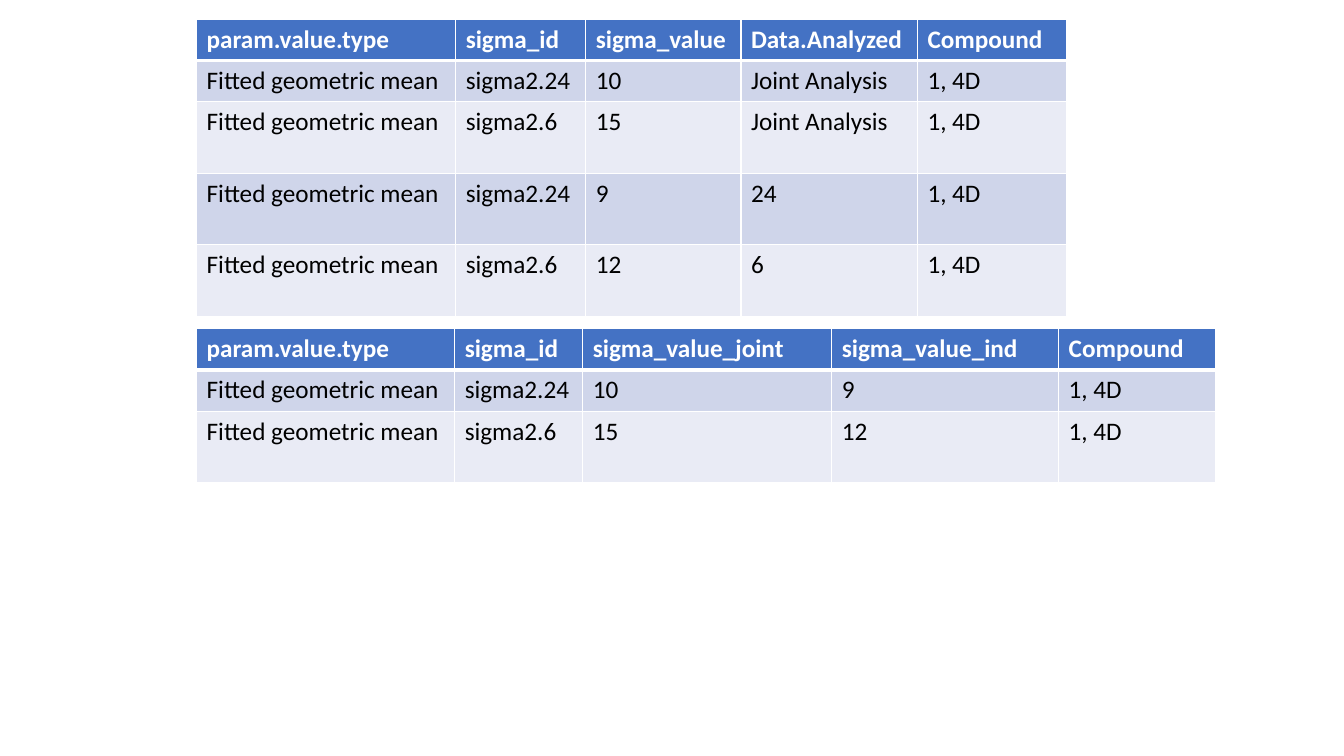
from dataclasses import dataclass

from lxml.etree import SubElement
from pptx import Presentation
from pptx.dml.color import RGBColor
from pptx.oxml.ns import qn
from pptx.slide import Slide
from pptx.table import _Cell as Cell
from pptx.util import Inches, Pt

WHITE = RGBColor(0xFF, 0xFF, 0xFF)
BLACK = RGBColor(0x00, 0x00, 0x00)
HEADER_BLUE = RGBColor(0x44, 0x72, 0xC4)
BAND_DARK = RGBColor(0xCF, 0xD5, 0xEA)
BAND_LIGHT = RGBColor(0xE9, 0xEB, 0xF5)

TABLE_LEFT = 1.95
SINGLE_ROW = 0.41
TALL_ROW = 0.71
MEAN = "Fitted geometric mean"
COMPOUND = "1, 4D"


@dataclass(frozen=True)
class SigmaTable:
    top: float
    widths: list[float]
    heights: list[float]
    rows: list[list[str]]


LONG_FORM = SigmaTable(
    top=0.19,
    widths=[2.57, 1.29, 1.54, 1.75, 1.48],
    heights=[SINGLE_ROW] * 2 + [TALL_ROW] * 3,
    rows=[
        ["param.value.type", "sigma_id", "sigma_value", "Data.Analyzed", "Compound"],
        [MEAN, "sigma2.24", "10", "Joint Analysis", COMPOUND],
        [MEAN, "sigma2.6", "15", "Joint Analysis", COMPOUND],
        [MEAN, "sigma2.24", "9", "24", COMPOUND],
        [MEAN, "sigma2.6", "12", "6", COMPOUND],
    ],
)
WIDE_FORM = SigmaTable(
    top=3.26,
    widths=[2.56, 1.27, 2.47, 2.25, 1.56],
    heights=[SINGLE_ROW] * 2 + [TALL_ROW],
    rows=[
        ["param.value.type", "sigma_id", "sigma_value_joint", "sigma_value_ind", "Compound"],
        [MEAN, "sigma2.24", "10", "9", COMPOUND],
        [MEAN, "sigma2.6", "15", "12", COMPOUND],
    ],
)


def set_borders(cell: Cell, row: int) -> None:
    properties = cell._tc.get_or_add_tcPr()
    weights = {
        "a:lnL": 1,
        "a:lnR": 1,
        "a:lnT": 3 if row == 1 else 1,
        "a:lnB": 3 if row == 0 else 1,
    }
    for side, weight in weights.items():
        border = SubElement(properties, qn(side), w=str(Pt(weight)))
        fill = SubElement(border, qn("a:solidFill"))
        SubElement(fill, qn("a:srgbClr"), val=str(WHITE))


def style_cell(cell: Cell, text: str, row: int) -> None:
    is_header = row == 0
    set_borders(cell, row)
    cell.fill.solid()
    band = BAND_DARK if row % 2 else BAND_LIGHT
    cell.fill.fore_color.rgb = HEADER_BLUE if is_header else band
    cell.text_frame.text = text
    font = cell.text_frame.paragraphs[0].runs[0].font
    font.name = "Calibri"
    font.size = Pt(18)
    font.bold = is_header
    font.color.rgb = WHITE if is_header else BLACK


def draw_table(slide: Slide, sigma: SigmaTable) -> None:
    table = slide.shapes.add_table(
        len(sigma.rows),
        len(sigma.widths),
        Inches(TABLE_LEFT),
        Inches(sigma.top),
        Inches(sum(sigma.widths)),
        Inches(sum(sigma.heights)),
    ).table
    for column, width in zip(table.columns, sigma.widths):
        column.width = Inches(width)
    for row, (height, texts) in enumerate(zip(sigma.heights, sigma.rows)):
        table.rows[row].height = Inches(height)
        for column, text in enumerate(texts):
            style_cell(table.cell(row, column), text, row)


def main() -> None:
    presentation = Presentation()
    presentation.slide_width = Inches(13.33)
    presentation.slide_height = Inches(7.5)
    slide = presentation.slides.add_slide(presentation.slide_layouts[6])
    for sigma in (LONG_FORM, WIDE_FORM):
        draw_table(slide, sigma)
    presentation.save("out.pptx")


if __name__ == "__main__":
    main()
